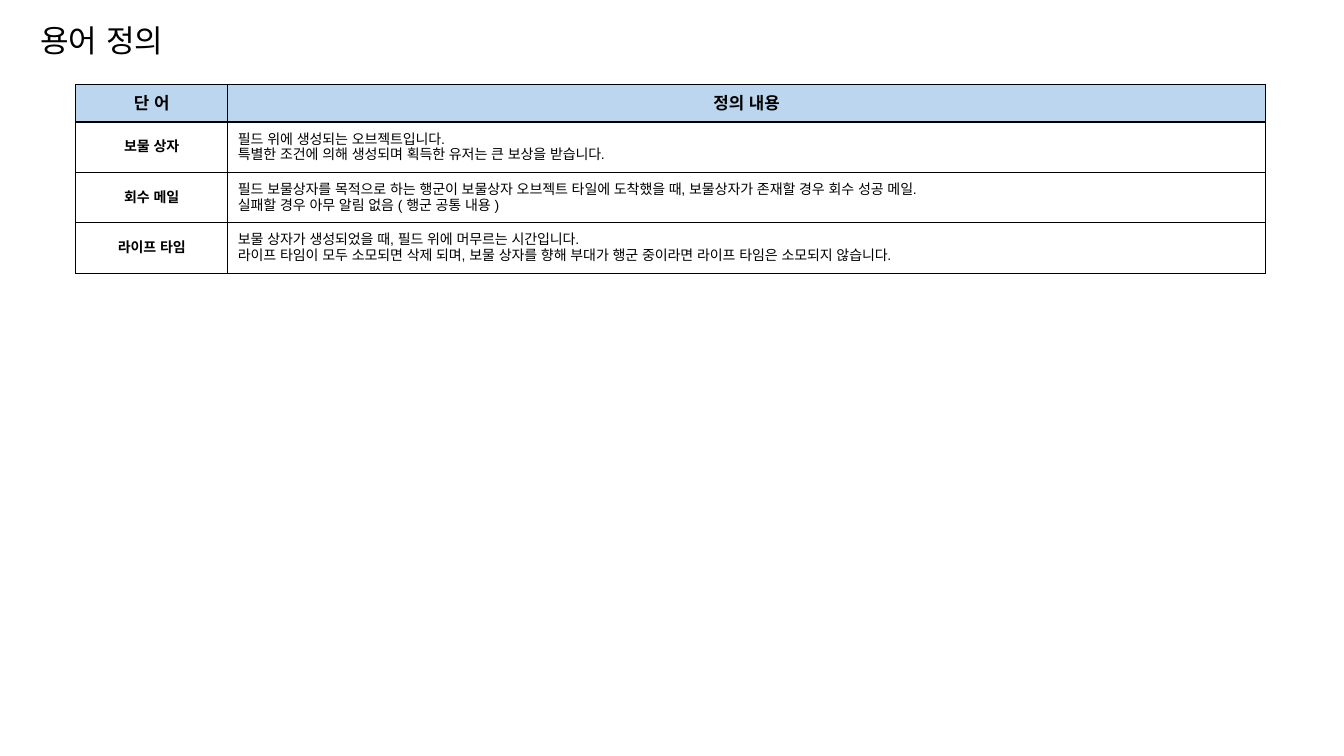
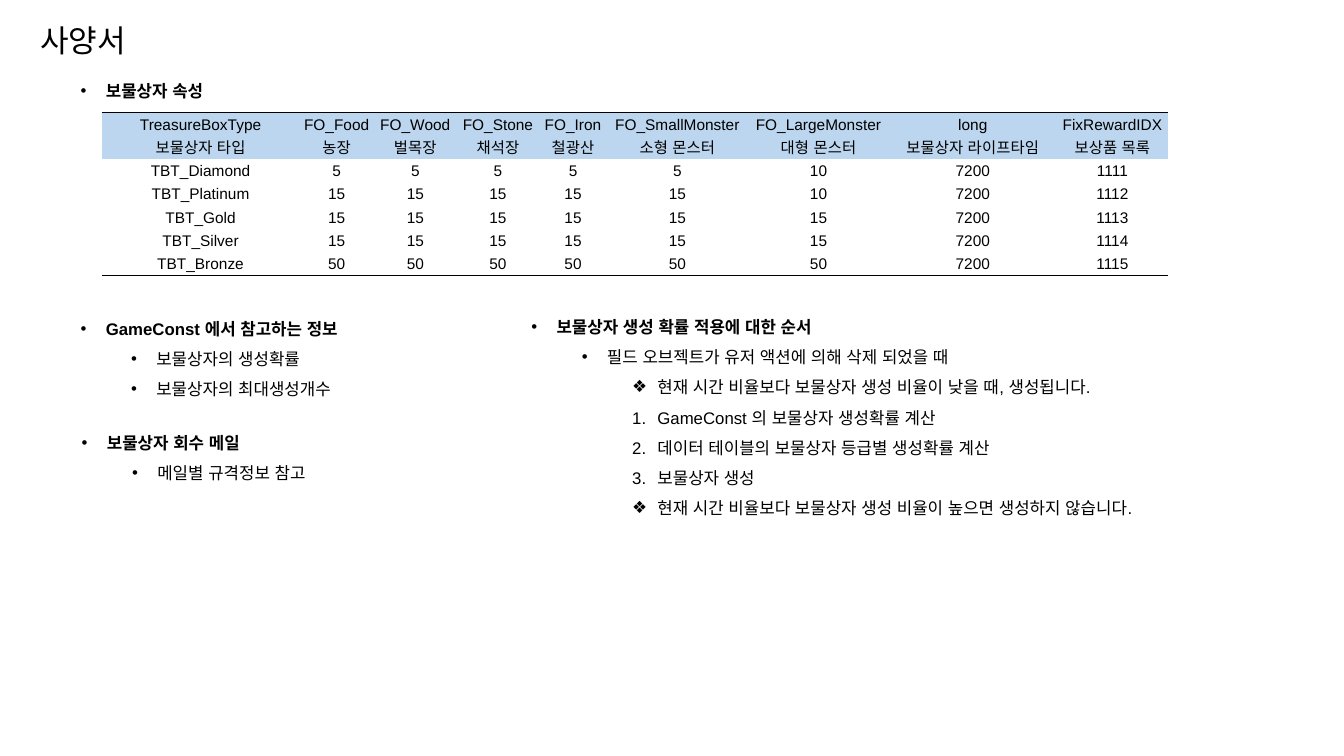
from pptx import Presentation
from pptx.dml.color import RGBColor
from pptx.enum.text import MSO_ANCHOR, MSO_AUTO_SIZE, PP_ALIGN
from pptx.oxml import parse_xml
from pptx.oxml.ns import nsdecls
from pptx.util import Pt

PX = 9144
BLACK = RGBColor(0x00, 0x00, 0x00)
WHITE = RGBColor(0xFF, 0xFF, 0xFF)
BLUE = RGBColor(0xBB, 0xD6, 0xEE)
FONT = "Arial"
NO_STYLE = "{2D5ABB26-0587-4C30-8999-92F81FD0307C}"


def write(tf, lines, size=12, bold=False, align=PP_ALIGN.LEFT, spacing=1.0,
          anchor=MSO_ANCHOR.TOP, bullets=None):
    tf.vertical_anchor = anchor
    for i, text in enumerate(lines):
        p = tf.paragraphs[0] if i == 0 else tf.add_paragraph()
        p.alignment = align
        p.line_spacing = spacing
        p.space_before = p.space_after = Pt(0)
        if bullets:
            level, mark = bullets[i]
            p.level = level
            pPr = p._p.get_or_add_pPr()
            pPr.set("marL", str((25 + 50 * level) * PX))
            pPr.set("indent", str(-25 * PX))
            kind = 'buAutoNum type="arabicPeriod"' if mark == "1." else f'buChar char="{mark}"'
            for tag in (f'<a:buClr {nsdecls("a")}><a:srgbClr val="{BLACK}"/></a:buClr>',
                        f'<a:buFont {nsdecls("a")} typeface="{FONT}"/>',
                        f'<a:{kind} {nsdecls("a")}/>'):
                pPr.append(parse_xml(tag))
        r = p.add_run()
        r.text = text
        r.font.size = Pt(size)
        r.font.bold = bold or (bullets is not None and bullets[i][0] == 0)
        r.font.name = FONT
        r.font.color.rgb = BLACK
        r._r.get_or_add_rPr().append(parse_xml(f'<a:ea {nsdecls("a")} typeface="{FONT}"/>'))


def make_table(s, x, y, widths, heights):
    frame = s.shapes.add_table(len(heights), len(widths), x * PX, y * PX,
                               sum(widths) * PX, sum(heights) * PX)
    table = frame.table
    table.first_row = table.horz_banding = False
    table._tbl.tblPr[0].text = NO_STYLE
    for col, w in zip(table.columns, widths):
        col.width = w * PX
    for row, h in zip(table.rows, heights):
        row.height = h * PX
    return table


prs = Presentation()
prs.slide_width, prs.slide_height = 1333 * PX, 750 * PX

slides = []
for title, layout in (("용어 정의", 5), ("사양서", 4)):
    s = prs.slides.add_slide(prs.slide_layouts[layout])
    sp = s.shapes.title
    sp.left, sp.top, sp.width, sp.height = 30 * PX, 1 * PX, 649 * PX, 64 * PX
    sp.text_frame.auto_size = MSO_AUTO_SIZE.NONE
    write(sp.text_frame, [title], size=22.2, spacing=1.4)
    slides.append(s)
terms_slide, spec_slide = slides

terms = [
    ("단 어", ["정의 내용"]),
    ("보물 상자", ["필드 위에 생성되는 오브젝트입니다.",
               "특별한 조건에 의해 생성되며 획득한 유저는 큰 보상을 받습니다."]),
    ("회수 메일", ["필드 보물상자를 목적으로 하는 행군이 보물상자 오브젝트 타일에 도착했을 때, 보물상자가 존재할 경우 회수 성공 메일.",
               "실패할 경우 아무 알림 없음 ( 행군 공통 내용 )"]),
    ("라이프 타임", ["보물 상자가 생성되었을 때, 필드 위에 머무르는 시간입니다.",
                "라이프 타임이 모두 소모되면 삭제 되며, 보물 상자를 향해 부대가 행군 중이라면 라이프 타임은 소모되지 않습니다."]),
]
boxes = [
    ("TreasureBoxType", "FO_Food", "FO_Wood", "FO_Stone", "FO_Iron",
     "FO_SmallMonster", "FO_LargeMonster", "long", "FixRewardIDX"),
    ("보물상자 타입", "농장", "벌목장", "채석장", "철광산",
     "소형 몬스터", "대형 몬스터", "보물상자 라이프타임", "보상품 목록"),
    ("TBT_Diamond", 5, 5, 5, 5, 5, 10, 7200, 1111),
    ("TBT_Platinum", 15, 15, 15, 15, 15, 10, 7200, 1112),
    ("TBT_Gold", 15, 15, 15, 15, 15, 15, 7200, 1113),
    ("TBT_Silver", 15, 15, 15, 15, 15, 15, 7200, 1114),
    ("TBT_Bronze", 50, 50, 50, 50, 50, 50, 7200, 1115),
]

cells = []
table = make_table(terms_slide, 75, 84, [151, 1029], [37, 50, 50, 50])
for i, (word, meaning) in enumerate(terms):
    for j, lines in enumerate(([word], meaning)):
        head = i == 0 or j == 0
        cell = table.cell(i, j)
        write(cell.text_frame, lines, size=12 if i == 0 else 10, bold=head,
              align=PP_ALIGN.CENTER if head else PP_ALIGN.LEFT)
        cells.append((cell, "LRTB", WHITE if i else BLUE))

table = make_table(spec_slide, 101, 112, [196, 74, 82, 82, 67, 140, 140, 166, 111], [23] * 7)
for i, values in enumerate(boxes):
    for j, value in enumerate(values):
        cell = table.cell(i, j)
        cell.margin_left = cell.margin_right = cell.margin_top = 1 * PX
        cell.margin_bottom = 0
        write(cell.text_frame, [str(value)], size=11, align=PP_ALIGN.CENTER)
        cells.append((cell, {0: "T", 6: "B"}.get(i, ""), BLUE if i < 2 else None))

for cell, sides, color in cells:
    cell.vertical_anchor = MSO_ANCHOR.MIDDLE
    for side in sides:
        cell._tc.get_or_add_tcPr().append(parse_xml(
            f'<a:ln{side} {nsdecls("a")} w="12700"><a:solidFill><a:srgbClr val="{BLACK}"/>'
            f'</a:solidFill></a:ln{side}>'))
    if color is None:
        cell.fill.background()
    else:
        cell.fill.solid()
        cell.fill.fore_color.rgb = color

lists = [
    (70, 65, 553, 37, [(0, "•", "보물상자 속성")]),
    (70, 301, 323, 114, [(0, "•", "GameConst 에서 참고하는 정보"),
                         (1, "•", "보물상자의 생성확률"),
                         (1, "•", "보물상자의 최대생성개수")]),
    (71, 414, 486, 114, [(0, "•", "보물상자 회수 메일"),
                         (1, "•", "메일별 규격정보 참고")]),
    (517, 299, 816, 245, [(0, "•", "보물상자 생성 확률 적용에 대한 순서"),
                          (1, "•", "필드 오브젝트가 유저 액션에 의해 삭제 되었을 때"),
                          (2, "❖", "현재 시간 비율보다 보물상자 생성 비율이 낮을 때, 생성됩니다."),
                          (2, "1.", "GameConst 의 보물상자 생성확률 계산"),
                          (2, "1.", "데이터 테이블의 보물상자 등급별 생성확률 계산"),
                          (2, "1.", "보물상자 생성"),
                          (2, "❖", "현재 시간 비율보다 보물상자 생성 비율이 높으면 생성하지 않습니다.")]),
]
for idx, (x, y, w, h, items) in enumerate(lists, 1):
    sp = spec_slide.placeholders[idx]
    sp.left, sp.top, sp.width, sp.height = x * PX, y * PX, w * PX, h * PX
    sp.text_frame.auto_size = MSO_AUTO_SIZE.NONE
    write(sp.text_frame, [text for _, _, text in items], spacing=1.5,
          bullets=[(level, mark) for level, mark, _ in items])

for s in slides:
    for sp in list(s.placeholders):
        if not sp.text_frame.text:
            sp.element.getparent().remove(sp.element)

prs.save("out.pptx")
